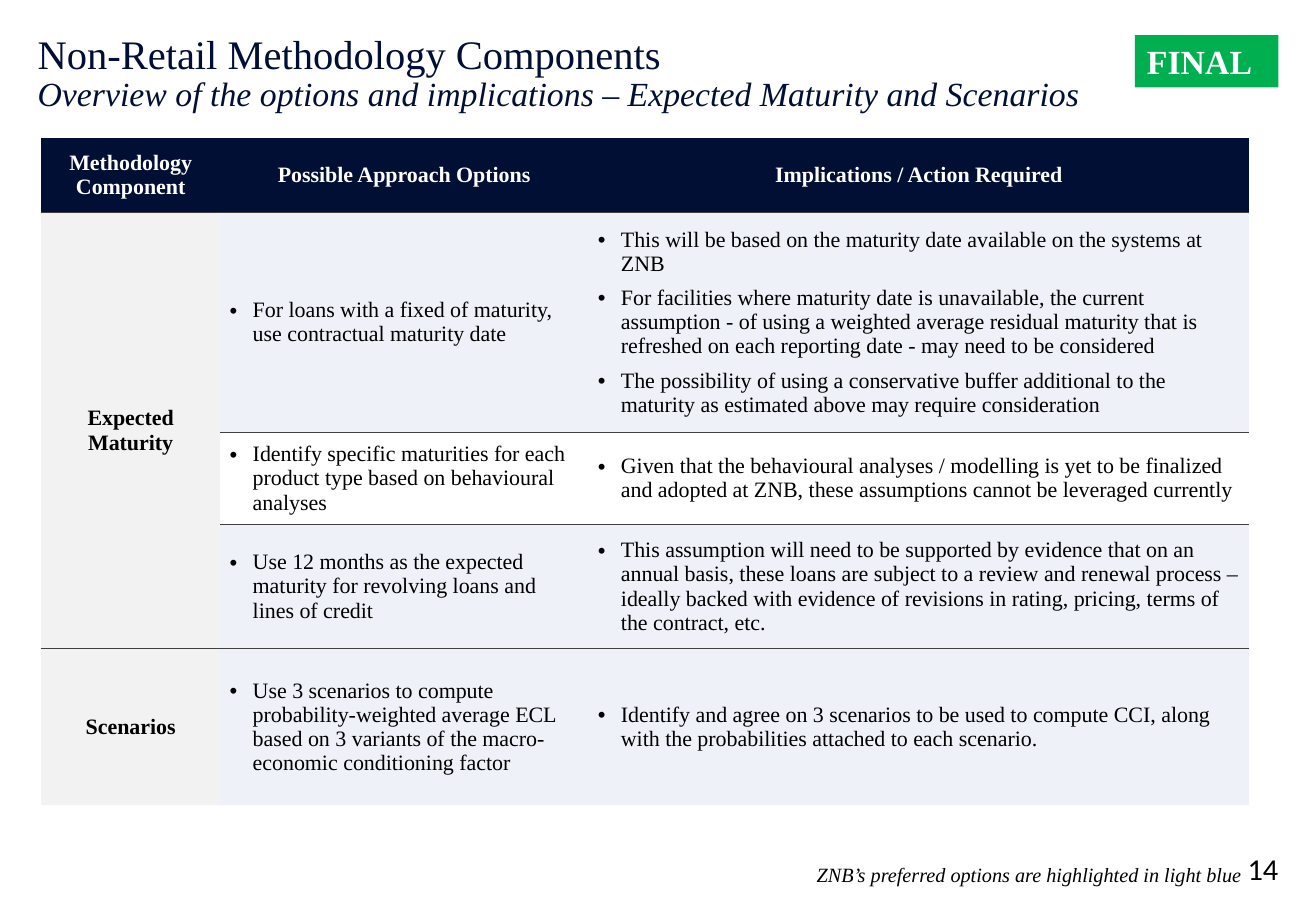
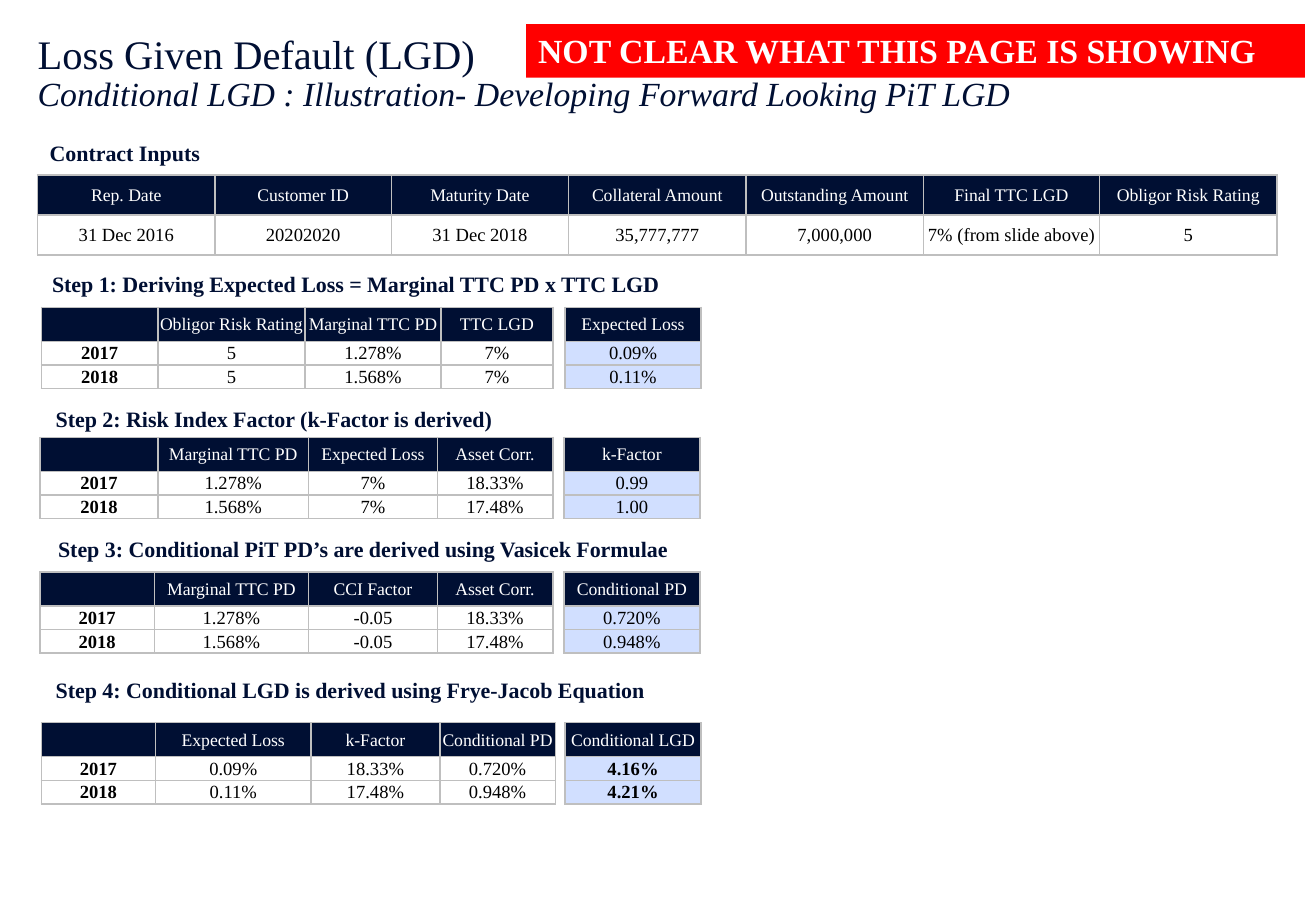
from dataclasses import dataclass

from lxml import etree
from pptx import Presentation
from pptx.dml.color import RGBColor
from pptx.enum.shapes import MSO_SHAPE
from pptx.enum.text import MSO_ANCHOR, PP_ALIGN
from pptx.oxml.ns import qn
from pptx.util import Pt

RECTANGLE = MSO_SHAPE.RECTANGLE
LEFT, CENTER, RIGHT = PP_ALIGN.LEFT, PP_ALIGN.CENTER, PP_ALIGN.RIGHT
TOP, MIDDLE, BOTTOM = MSO_ANCHOR.TOP, MSO_ANCHOR.MIDDLE, MSO_ANCHOR.BOTTOM
PX = 9144  # EMU in one px, 100 px to the inch
PLAIN_TABLE = "{2D5ABB26-0587-4C30-8999-92F81FD0307C}"


@dataclass(frozen=True)
class Theme:
    serif: str = "Times New Roman"
    sans: str = "Calibri"
    navy: str = "000F33"
    black: str = "000000"
    white: str = "FFFFFF"
    side_grey: str = "F2F2F2"
    preferred: str = "EEF1F8"
    result: str = "D1DFFF"
    rule: str = "404040"
    grid: str = "BFBFBF"
    green: str = "00B050"
    red: str = "FF0000"
    title: float = 24
    subtitle: float = 20
    number: float = 18
    body: float = 13
    note: float = 12
    value: float = 11
    label: float = 10.5


THEME = Theme()
TITLE_BOX = (31, 28, 1020, 101)


def px(*lengths):
    return [length * PX for length in lengths]


def style(span, size, color, bold=False, italic=False, face=THEME.serif):
    font = span.font
    font.name, font.size, font.bold, font.italic = face, Pt(size), bold, italic
    font.color.rgb = RGBColor.from_string(color)


def set_text(frame, text, size, color, align=LEFT, **look):
    frame.text = text
    for para in frame.paragraphs:
        para.alignment = align
        for span in para.runs:
            style(span, size, color, **look)


def add_text(page, box, text, size, color, inset=None, anchor=TOP, **look):
    frame = page.shapes.add_textbox(*px(*box)).text_frame
    frame.word_wrap = True
    frame.vertical_anchor = anchor
    if inset is not None:
        frame.margin_left = frame.margin_right = inset * PX
        frame.margin_top = frame.margin_bottom = inset * PX
    set_text(frame, text, size, color, **look)
    return frame


def add_title(page, title, subtitle):
    frame = add_text(page, TITLE_BOX, f"{title}\v{subtitle}", THEME.title,
                     THEME.navy, inset=0)
    para = frame.paragraphs[0]
    para.line_spacing = 0.9
    style(para.runs[1], THEME.subtitle, THEME.navy, italic=True)


def add_badge(page, box, text, color):
    badge = page.shapes.add_shape(RECTANGLE, *px(*box))
    badge.shadow.inherit = False
    badge.fill.solid()
    badge.fill.fore_color.rgb = RGBColor.from_string(color)
    badge.line.fill.background()
    badge.text_frame.vertical_anchor = TOP
    set_text(badge.text_frame, text, THEME.subtitle, THEME.white, bold=True)


def add_heading(page, box, text):
    add_text(page, box, text, THEME.body, THEME.navy, bold=True)


# Tables

def add_table(page, left, top, columns, rows):
    box = px(left, top, sum(columns), sum(rows))
    table = page.shapes.add_table(len(rows), len(columns), *box).table
    table.first_row = table.horz_banding = False
    table._tbl.tblPr.find(qn("a:tableStyleId")).text = PLAIN_TABLE
    for column, width in zip(table.columns, columns):
        column.width = width * PX
    for row, height in zip(table.rows, rows):
        row.height = height * PX
    return table


def set_borders(cell, color, sides):
    for side in sides:
        line = etree.SubElement(cell._tc.get_or_add_tcPr(), qn(f"a:ln{side}"), w=str(Pt(1)))
        fill = etree.SubElement(line, qn("a:solidFill"))
        etree.SubElement(fill, qn("a:srgbClr"), val=color)


def set_cell(cell, text, size, color, fill, margins, **look):
    cell.margin_left, cell.margin_top, cell.margin_right, cell.margin_bottom = px(*margins)
    cell.vertical_anchor = MIDDLE
    if fill:
        cell.fill.solid()
        cell.fill.fore_color.rgb = RGBColor.from_string(fill)
    else:
        cell.fill.background()
    set_text(cell.text_frame, text, size, color, **look)
    if not text:  # keeps an empty cell from stretching its row
        para = cell.text_frame.paragraphs[0]
        para._p.get_or_add_endParaRPr().set("sz", str(int(size * 100)))


def add_bullets(frame):
    for index, para in enumerate(frame.paragraphs):
        properties = para._p.get_or_add_pPr()
        properties.set("marL", str(19 * PX))
        properties.set("indent", str(-19 * PX))
        if index:
            para.space_before = Pt(6)
        etree.SubElement(properties, qn("a:buFont"), typeface="Arial")
        etree.SubElement(properties, qn("a:buChar"), char="•")


def add_options_table(page, box, header, options):
    """Options: (component or None, approach, implications, preferred)."""
    left, top, width, _ = box
    columns = [147, 303, width - 450]
    table = add_table(page, left, top, columns, [61, 181, 76, 102, 129])
    table.cell(1, 0).merge(table.cell(3, 0))
    margins = (8, 0, 8, 0)
    last = len(options)
    for row in range(last + 1):
        for column in range(3):
            cell = table.cell(row, column)
            if cell.is_spanned:
                continue
            sides = ("T" if row else "") + ("B" if row < last else "")
            set_borders(cell, THEME.rule, sides)
            if row == 0:
                set_cell(cell, header[column], THEME.body, THEME.white,
                         THEME.navy, margins, align=CENTER, bold=True)
                continue
            *texts, preferred = options[row - 1]
            if column == 0:
                set_cell(cell, texts[0], THEME.body, THEME.black,
                         THEME.side_grey, margins, align=CENTER, bold=True)
            else:
                set_cell(cell, texts[column], THEME.body, THEME.black,
                         THEME.preferred if preferred else None, margins)
                add_bullets(cell.text_frame)


def add_grid(page, left, top, columns, rows, values, fill=None, bold_columns=()):
    table = add_table(page, left, top, columns, rows)
    for row, texts in enumerate(values):
        for column, text in enumerate(texts):
            cell = table.cell(row, column)
            set_borders(cell, THEME.grid, "LRTB")
            if row == 0:
                size, color, back = THEME.label, THEME.white, THEME.navy
            else:
                size, color, back = THEME.value, THEME.black, fill
            set_cell(cell, text, size, color, back, (1, 1, 1, 0), align=CENTER,
                     bold=row > 0 and column in bold_columns)


def add_step(page, box, indent, heading, columns, values, results, bold_result=False):
    left, top, width, height = box
    rows = [28, 19, 19]
    table_top = top + height - sum(rows)
    add_heading(page, (left + indent, top, width, 32), heading)
    add_grid(page, left, table_top, columns, rows, values, bold_columns=(0,))
    result_width = 112
    add_grid(page, left + width - result_width, table_top, [result_width], rows,
             [[text] for text in results], THEME.result,
             bold_columns=(0,) if bold_result else ())


def split_evenly(total, count):
    edges = [round(total * index / count) for index in range(count + 1)]
    return [end - start for start, end in zip(edges, edges[1:])]


# Slides

OPTIONS_HEADER = ["Methodology Component", "Possible Approach Options",
                  "Implications / Action Required"]
OPTIONS = [
    ("Expected Maturity",
     "For loans with a fixed of maturity, use contractual maturity date",
     "This will be based on the maturity date available on the systems at ZNB\n"
     "For facilities where maturity date is unavailable, the current assumption - of using "
     "a weighted average residual maturity that is refreshed on each reporting date - may "
     "need to be considered\n"
     "The possibility of using a conservative buffer additional to the maturity as "
     "estimated above may require consideration", True),
    (None,
     "Identify specific maturities for each product type based on behavioural analyses",
     "Given that the behavioural analyses / modelling is yet to be finalized and adopted at "
     "ZNB, these assumptions cannot be leveraged currently", False),
    (None,
     "Use 12 months as the expected maturity for revolving loans and lines of credit",
     "This assumption will need to be supported by evidence that on an annual basis, these "
     "loans are subject to a review and renewal process – ideally backed with evidence of "
     "revisions in rating, pricing, terms of the contract, etc.", True),
    ("Scenarios",
     "Use 3 scenarios to compute probability-weighted average ECL based on 3 variants of "
     "the macro-economic conditioning factor",
     "Identify and agree on 3 scenarios to be used to compute CCI, along with the "
     "probabilities attached to each scenario.", True),
]

CONTRACT = [
    ["Rep. Date", "Customer ID", "Maturity Date", "Collateral Amount",
     "Outstanding Amount", "Final TTC LGD", "Obligor Risk Rating"],
    ["31 Dec 2016", "20202020", "31 Dec 2018", "35,777,777", "7,000,000",
     "7% (from slide above)", "5"],
]
STEPS = [
    ((34, 218, 543, 101), -1, "Step 1: Deriving Expected Loss = Marginal TTC PD x TTC LGD",
     [96, 121, 112, 92],
     [["", "Obligor Risk Rating", "Marginal TTC PD", "TTC LGD"],
      ["2017", "5", "1.278%", "7%"], ["2018", "5", "1.568%", "7%"]],
     ["Expected Loss", "0.09%", "0.11%"]),
    ((33, 329, 543, 97), 3, "Step 2: Risk Index Factor (k-Factor is derived)",
     [97, 124, 106, 95],
     [["", "Marginal TTC PD", "Expected Loss", "Asset Corr."],
      ["2017", "1.278%", "7%", "18.33%"], ["2018", "1.568%", "7%", "17.48%"]],
     ["k-Factor", "0.99", "1.00"]),
    ((33, 436, 543, 101), 5, "Step 3: Conditional PiT PD’s are derived using Vasicek Formulae",
     [94, 127, 106, 95],
     [["", "Marginal TTC PD", "CCI Factor", "Asset Corr."],
      ["2017", "1.278%", "-0.05", "18.33%"], ["2018", "1.568%", "-0.05", "17.48%"]],
     ["Conditional PD", "0.720%", "0.948%"]),
    ((34, 552, 543, 109), 2, "Step 4: Conditional LGD is derived using Frye-Jacob Equation",
     [94, 128, 106, 95],
     [["", "Expected Loss", "k-Factor", "Conditional PD"],
      ["2017", "0.09%", "18.33%", "0.720%"], ["2018", "0.11%", "17.48%", "0.948%"]],
     ["Conditional LGD", "4.16%", "4.21%"], True),
]


def build_options_page(page):
    add_title(page, "Non-Retail Methodology Components",
              "Overview of the options and implications – Expected Maturity and Scenarios")
    add_text(page, (1004, 699, 48, 31), "14", THEME.number, THEME.black, inset=0,
             anchor=BOTTOM, align=RIGHT, face=THEME.sans)
    add_options_table(page, (34, 114, 994, 549), OPTIONS_HEADER, OPTIONS)
    add_text(page, (296, 705, 736, 31), "ZNB’s preferred options are highlighted in light blue",
             THEME.note, THEME.black, align=RIGHT, italic=True)
    add_badge(page, (934, 29, 118, 43), "FINAL", THEME.green)


def build_lgd_page(page):
    add_title(page, "Loss Given Default (LGD)",
              "Conditional LGD : Illustration- Developing Forward Looking PiT LGD")
    add_heading(page, (31, 110, 269, 32), "Contract Inputs")
    add_grid(page, 31, 144, split_evenly(1020, 7), [33, 33], CONTRACT)
    for step in STEPS:
        add_step(page, *step)
    add_badge(page, (433, 20, 641, 44), "NOT CLEAR WHAT THIS PAGE IS SHOWING", THEME.red)


def main():
    deck = Presentation()
    deck.slide_width, deck.slide_height = px(1083, 750)
    for build in (build_options_page, build_lgd_page):
        build(deck.slides.add_slide(deck.slide_layouts[6]))
    deck.save("out.pptx")


if __name__ == "__main__":
    main()
